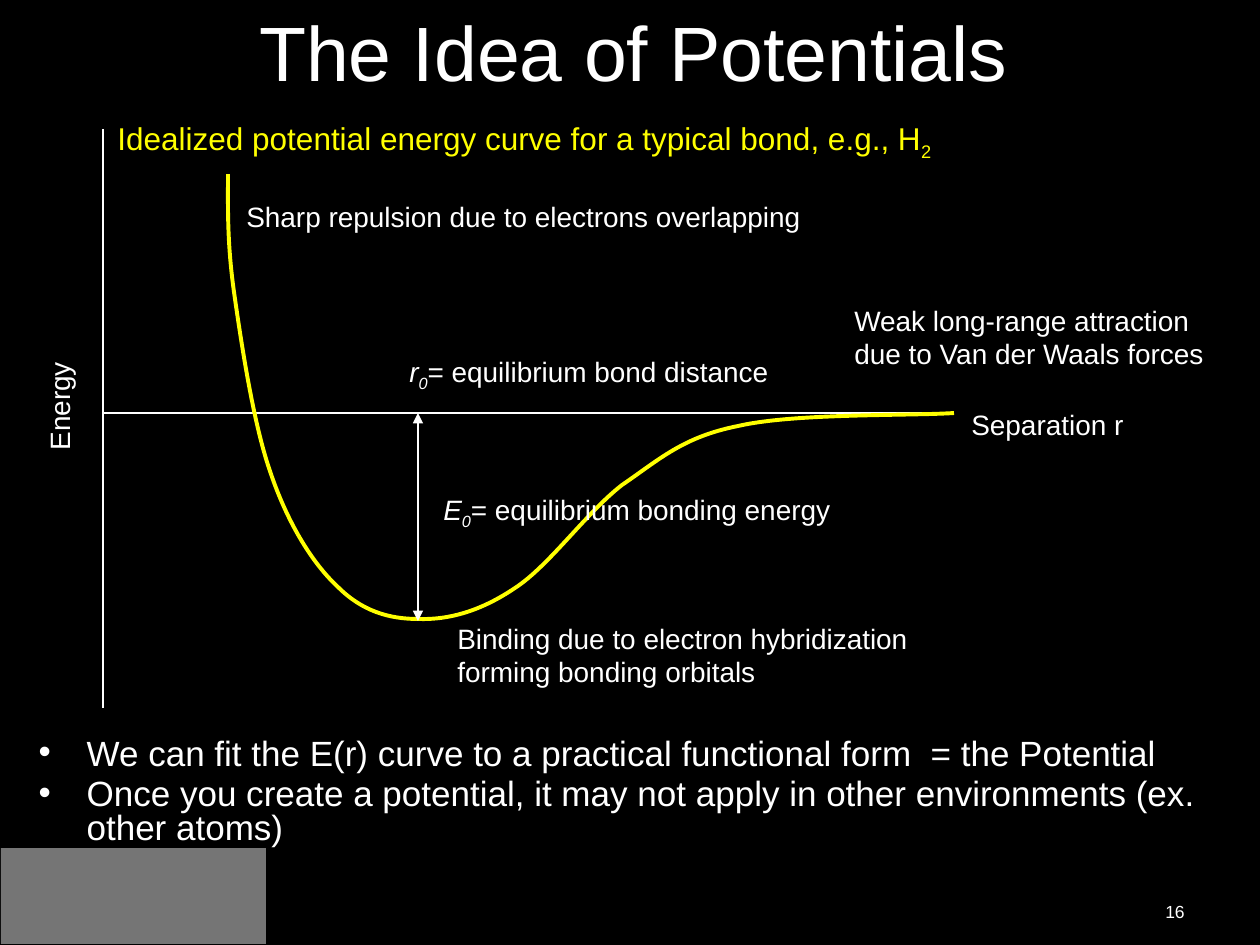
from dataclasses import dataclass

from lxml import etree
from pptx import Presentation
from pptx.dml.color import RGBColor
from pptx.enum.shapes import MSO_CONNECTOR, MSO_SHAPE
from pptx.enum.text import MSO_ANCHOR, MSO_AUTO_SIZE, PP_ALIGN
from pptx.oxml.ns import qn
from pptx.util import Inches, Pt

STRAIGHT = MSO_CONNECTOR.STRAIGHT
RECTANGLE = MSO_SHAPE.RECTANGLE
MIDDLE, TOP = MSO_ANCHOR.MIDDLE, MSO_ANCHOR.TOP
NO_FIT = MSO_AUTO_SIZE.NONE
LEFT, CENTER, RIGHT = PP_ALIGN.LEFT, PP_ALIGN.CENTER, PP_ALIGN.RIGHT
SCALE = Inches(1) / 126


@dataclass(frozen=True)
class Theme:
    """Colours, font and type sizes of the deck."""
    ground: RGBColor = RGBColor(0, 0, 0)
    ink: RGBColor = RGBColor(255, 255, 255)
    accent: RGBColor = RGBColor(255, 255, 0)
    font: str = "Arial"
    title: int = 44
    body: int = 20
    heading: int = 18
    label: int = 16
    number: int = 10


THEME = Theme()
CURVE_START = (125, 45)
CURVE_BEZIERS = [
    ((125, 79), (124, 113), (131, 163)),
    ((138, 212), (150, 293), (167, 342)),
    ((184, 393), (209, 434), (235, 458)),
    ((259, 482), (286, 490), (315, 490)),
    ((346, 491), (378, 482), (412, 459)),
    ((446, 437), (483, 384), (519, 356)),
    ((557, 330), (580, 308), (635, 297)),
    ((691, 284), (805, 287), (851, 284)),
]
LABELS = [
    ((856, 272, 178, 47), ["Separation r"]),
    ((131, 64, 581, 47), ["Sharp repulsion due to electrons overlapping"]),
    ((739, 168, 379, 81), ["Weak long-range attraction", "due to Van der Waals forces"]),
    ((342, 486, 476, 81), ["Binding due to electron hybridization", "forming bonding orbitals"]),
]
SYMBOLS = [
    ((294, 219, 387, 47), "r", "= equilibrium bond distance"),
    ((328, 357, 413, 47), "Ε", "= equilibrium bonding energy"),
]
BULLETS = [
    "We can fit the E(r) curve to a practical functional form  = the Potential",
    "Once you create a potential, it may not apply in other environments (ex. other atoms)",
]


def px(length):
    """Turn px into EMU."""
    return round(length * SCALE)


def place(shape, box):
    """Move and size a shape to a box in px."""
    shape.left, shape.top, shape.width, shape.height = map(px, box)


def add_span(para, text, size, color=THEME.ink, italic=False, subscript=False):
    """Add one formatted run to a paragraph."""
    span = para.add_run()
    span.text = text
    font = span.font
    font.name, font.size, font.italic = THEME.font, Pt(size), italic
    font.color.rgb = color
    if subscript:
        font._element.set("baseline", "-25000")


def add_label(page, origin, box, lines=()):
    """Add an unwrapped text box and return it."""
    left, top, width, height = box
    label = page.shapes.add_textbox(
        px(origin[0] + left), px(origin[1] + top), px(width), px(height))
    frame = label.text_frame
    frame.word_wrap = False
    for index, line in enumerate(lines):
        para = frame.add_paragraph() if index else frame.paragraphs[0]
        add_span(para, line, THEME.label)
    return label


def add_line(page, origin, start, end, weight, arrows=False):
    """Draw a straight line, with arrowheads at both ends on request."""
    points = [px(base + offset) for point in (start, end)
              for base, offset in zip(origin, point)]
    line = page.shapes.add_connector(STRAIGHT, *points)
    line.line.color.rgb = THEME.ink
    line.line.width = Pt(weight)
    if arrows:
        for end_name in ("a:headEnd", "a:tailEnd"):
            etree.SubElement(line.line._get_or_add_ln(), qn(end_name), type="triangle")
    etree.SubElement(line._element.spPr, qn("a:effectLst"))


def add_curve(page, origin):
    """Draw the potential curve as a chain of cubic Béziers."""
    points = [point for bezier in CURVE_BEZIERS for point in bezier]
    builder = page.shapes.build_freeform(*CURVE_START, scale=SCALE)
    builder.add_line_segments(points, close=False)
    curve = builder.convert_to_shape(px(origin[0]), px(origin[1]))
    segments = curve._element.xpath(".//a:lnTo")
    for first in range(0, len(segments), 3):
        bezier = etree.Element(qn("a:cubicBezTo"))
        segments[first].addprevious(bezier)
        for segment in segments[first:first + 3]:
            bezier.append(segment[0])
            segment.getparent().remove(segment)
    curve.fill.background()
    curve.line.color.rgb = THEME.accent
    curve.line.width = Pt(2.25)
    curve.shadow.inherit = False


def add_diagram(page, box):
    """Draw the energy diagram with its axes, curve and labels."""
    left, top, width, height = box
    origin = (left, top)
    zero, well = 284, 315
    add_line(page, origin, (0, 0), (0, height), 1.5)
    add_line(page, origin, (0, zero), (width, zero), 1.5)
    add_curve(page, origin)
    add_line(page, origin, (well, zero), (well, 492), 0.75, arrows=True)
    add_label(page, origin, (-104, 250, 121, 47), ["Energy"]).rotation = 270
    heading = add_label(page, origin, (2, -16, 849, 50)).text_frame.paragraphs[0]
    add_span(heading, "Idealized potential energy curve for a typical bond, e.g., H",
             THEME.heading, THEME.accent)
    add_span(heading, "2", THEME.heading, THEME.accent, subscript=True)
    for label_box, lines in LABELS:
        add_label(page, origin, label_box, lines)
    for label_box, symbol, meaning in SYMBOLS:
        para = add_label(page, origin, label_box).text_frame.paragraphs[0]
        add_span(para, symbol, THEME.label, italic=True)
        add_span(para, "0", THEME.label, italic=True, subscript=True)
        add_span(para, meaning, THEME.label)


def add_title(page, box):
    """Fill the title placeholder."""
    title = page.shapes.title
    place(title, box)
    frame = title.text_frame
    frame.auto_size, frame.vertical_anchor = NO_FIT, MIDDLE
    para = frame.paragraphs[0]
    para.alignment = CENTER
    add_span(para, "The Idea of Potentials", THEME.title)


def add_bullets(page, box):
    """Fill the body placeholder with the bullet list."""
    body = page.placeholders[1]
    place(body, box)
    frame = body.text_frame
    frame.auto_size, frame.vertical_anchor = NO_FIT, TOP
    for index, text in enumerate(BULLETS):
        para = frame.add_paragraph() if index else frame.paragraphs[0]
        para.alignment, para.line_spacing, para.space_before = LEFT, 0.8, Pt(4)
        properties = para._p.get_or_add_pPr()
        properties.set("marL", str(px(48)))
        properties.set("indent", str(px(-48)))
        etree.SubElement(properties, qn("a:buFont"), typeface=THEME.font)
        etree.SubElement(properties, qn("a:buChar"), char="•")
        add_span(para, text, THEME.body)


def add_footer(page, box):
    """Add the translucent corner panel and the page number."""
    left, top, width, height = box
    panel = page.shapes.add_shape(RECTANGLE, px(left), px(top), px(265), px(height))
    panel.shadow.inherit = False
    panel.fill.solid()
    panel.fill.fore_color.rgb = THEME.ink
    color = panel._element.spPr.find(qn("a:solidFill"))[0]
    etree.SubElement(color, qn("a:alpha"), val="46000")
    panel.line.fill.background()
    number = add_label(page, (left, top), (width - 294, 39, 294, 50))
    number.text_frame.vertical_anchor = MIDDLE
    para = number.text_frame.paragraphs[0]
    para.alignment = RIGHT
    add_span(para, "16", THEME.number)
    number.text_frame.word_wrap = True


def main():
    """Build and save the deck."""
    deck = Presentation()
    deck.slide_width, deck.slide_height = px(1260), px(945)
    page = deck.slides.add_slide(deck.slide_layouts[1])
    page.background.fill.solid()
    page.background.fill.fore_color.rgb = THEME.ground
    add_footer(page, (1, 848, 1196, 96))
    add_title(page, (67, -28, 1134, 158))
    add_bullets(page, (26, 733, 1212, 141))
    add_diagram(page, (103, 129, 847, 579))
    deck.save("out.pptx")


if __name__ == "__main__":
    main()
